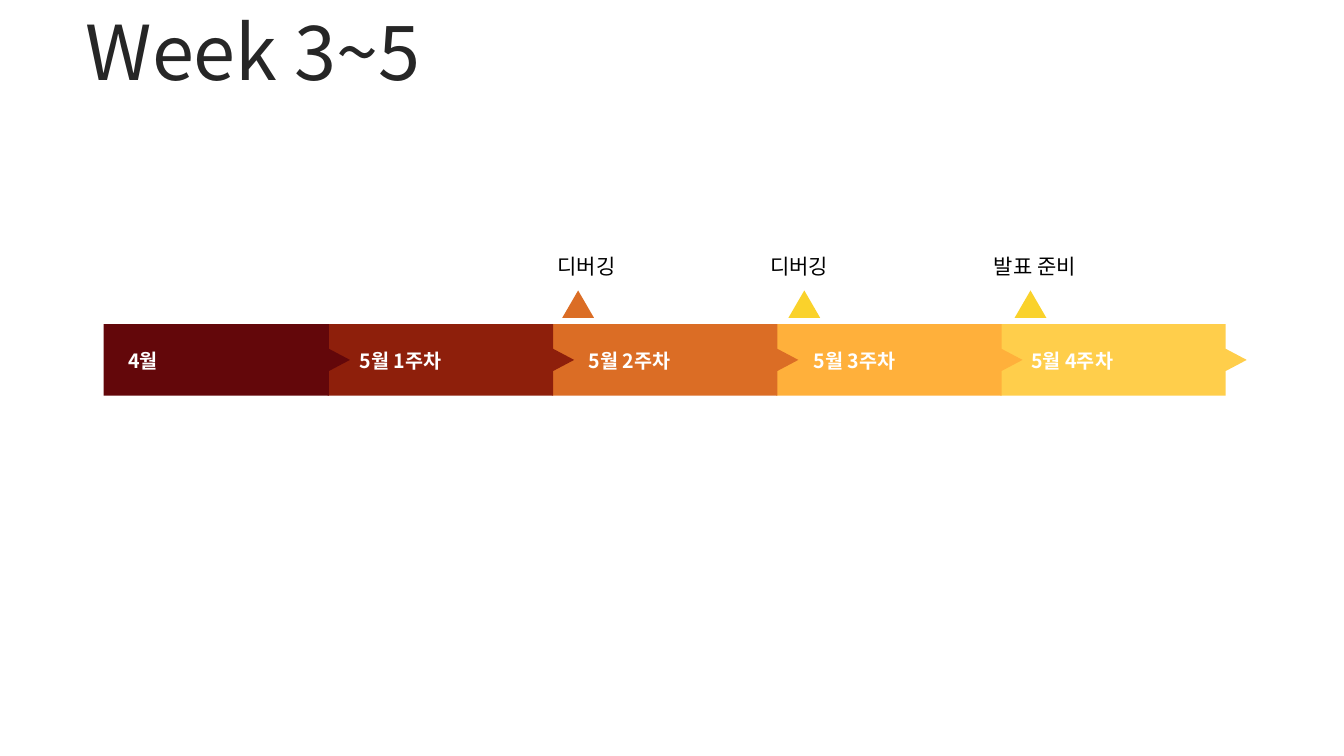
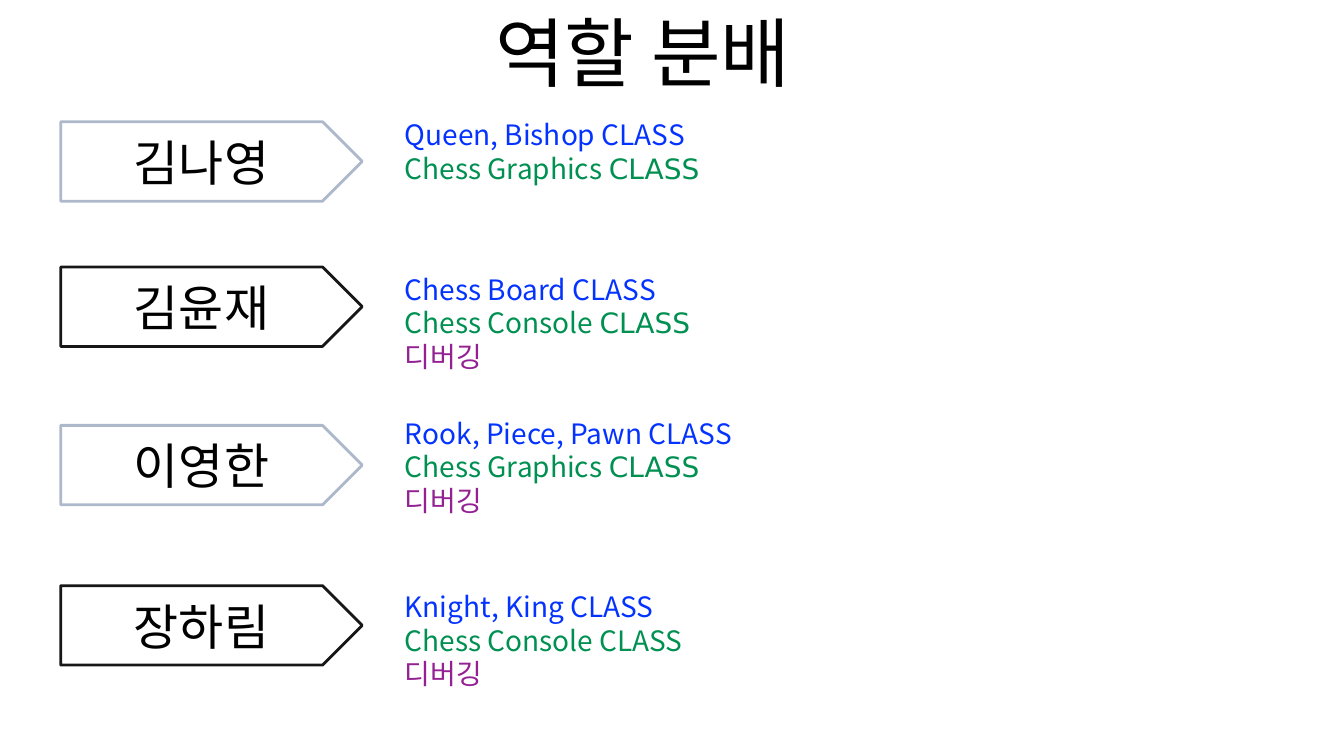
from lxml import etree
from pptx import Presentation
from pptx.dml.color import RGBColor
from pptx.enum.shapes import MSO_SHAPE
from pptx.enum.text import MSO_ANCHOR, PP_ALIGN
from pptx.oxml.ns import qn
from pptx.util import Cm, Pt

CENTER, LEFT = PP_ALIGN.CENTER, PP_ALIGN.LEFT
MIDDLE, TOP = MSO_ANCHOR.MIDDLE, MSO_ANCHOR.TOP
TRIANGLE, NAME_TAG = MSO_SHAPE.ISOSCELES_TRIANGLE, MSO_SHAPE.PENTAGON

FONT, ALT_FONT = "Noto Sans CJK KR", "DejaVu Sans"
INSET = 0.13
COLORS = {
    "white": "FFFFFF", "black": "000000", "title": "262626",
    "maroon": "63070A", "brick": "8E1F0B", "orange": "DB6D25",
    "amber": "FFB03B", "gold": "FFCE4B", "yellow": "FAD22B",
    "blue": "0433FF", "green": "009051", "purple": "942193",
    "steel": "ADB9CA", "ink": "181717",
}

STAGES = [
    ("4월", "maroon", 0.49),
    ("5월 1주차", "brick", 0.68),
    ("5월 2주차", "orange", 0.8),
    ("5월 3주차", "amber", 0.81),
    ("5월 4주차", "gold", 0.65),
]
MILESTONES = [
    ("디버깅", "orange", 11.31),
    ("디버깅", "yellow", 16.67),
    ("발표 준비", "yellow", 22.31),
]
DEBUGGING = [("디버깅", "purple", FONT)]


def duties(pieces, module, class_font=ALT_FONT):
    """Return the class duties as paragraphs of (text, colour, font) runs."""
    return [
        [(f"{pieces} CLASS", "blue", FONT)],
        [(f"{module} ", "green", FONT), ("CLASS", "green", class_font)],
    ]


ROLES = [
    ("김나영", 3.07, 2.84, duties("Queen, Bishop", "Chess Graphics")),
    ("김윤재", 6.73, 6.73,
     duties("Chess Board", "Chess Console") + [DEBUGGING]),
    ("이영한", 10.72, 10.36,
     duties("Rook, Piece, Pawn", "Chess Graphics") + [DEBUGGING]),
    ("장하림", 14.76, 14.73,
     duties("Knight, King", "Chess Console", FONT) + [DEBUGGING]),
]


def rgb(name):
    """Return a named colour."""
    return RGBColor.from_string(COLORS[name])


def write(frame, paragraphs, size, bold=False, align=LEFT, anchor=TOP):
    """Fill a text frame with paragraphs of (text, colour, font) runs."""
    frame.word_wrap = True
    frame.vertical_anchor = anchor
    frame.margin_left = frame.margin_right = Cm(INSET)
    frame.margin_top = frame.margin_bottom = Cm(INSET)
    for index, pieces in enumerate(paragraphs):
        paragraph = frame.add_paragraph() if index else frame.paragraphs[0]
        paragraph.alignment = align
        for text, color, font in pieces:
            run = paragraph.add_run()
            run.text = text
            run.font.size = Pt(size)
            run.font.bold = bold
            run.font.color.rgb = rgb(color)
            run.font.name = font
            east_asian = etree.SubElement(run.font._element, qn("a:ea"))
            east_asian.set("typeface", FONT)


def add_text(slide, box, paragraphs, size, **style):
    """Add a text box at (left, top, width, height) in centimetres."""
    frame = slide.shapes.add_textbox(*map(Cm, box)).text_frame
    write(frame, paragraphs, size, **style)
    return frame


def add_title(slide, box, text, color):
    """Add the large centred slide title."""
    frame = add_text(slide, box, [[(text, color, FONT)]], 54,
                     align=CENTER, anchor=MIDDLE)
    frame.paragraphs[0].line_spacing = 0.9
    frame.paragraphs[0].space_before = Pt(10)


def paint(shape, color):
    """Give a shape a flat fill with no line or shadow."""
    shape.shadow.inherit = False
    shape.fill.solid()
    shape.fill.fore_color.rgb = rgb(color)
    shape.line.fill.background()


def add_stage(slide, left, top, width, height, color):
    """Draw a timeline block with a small pointer on its right side."""
    right, middle, tip, half = left + width, top + height / 2, 0.53, 0.28
    outline = [
        (right, top), (right, middle - half), (right + tip, middle),
        (right, middle + half), (right, top + height), (left, top + height),
    ]
    builder = slide.shapes.build_freeform(Cm(left), Cm(top), scale=1.0)
    builder.add_line_segments([(Cm(x), Cm(y)) for x, y in outline], close=True)
    paint(builder.convert_to_shape(), color)


def add_timeline(slide, left, top, width, height):
    """Draw overlapping stages, their captions and the milestones above."""
    pitch = width / len(STAGES)
    for index, (caption, color, indent) in reversed(list(enumerate(STAGES))):
        add_stage(slide, left + index * pitch, top, pitch + 0.03, height, color)
    for index, (caption, color, indent) in enumerate(STAGES):
        add_text(slide, (left + index * pitch + indent, top + 0.5, 4.3, 0.9),
                 [[(caption, "white", FONT)]], 14, bold=True)
    for index, (caption, color, offset) in enumerate(MILESTONES):
        marker = (left + 11.56 + index * 5.7, top - 0.85, 0.8, 0.69)
        paint(slide.shapes.add_shape(TRIANGLE, *map(Cm, marker)), color)
        add_text(slide, (left + offset, top - 1.9, 5, 0.91),
                 [[(caption, "black", FONT)]], 15)


def add_role(slide, left, tag_top, duty_top, name, tasks, line_color):
    """Draw a member's name tag and the duties beside it."""
    tag = slide.shapes.add_shape(NAME_TAG, *map(Cm, (left, tag_top, 7.6, 2)))
    tag.shadow.inherit = False
    tag.fill.background()
    tag.line.color.rgb = rgb(line_color)
    tag.line.width = Pt(2)
    write(tag.text_frame, [[(name, "black", FONT)]], 35,
          align=CENTER, anchor=MIDDLE)
    add_text(slide, (left + 8.54, duty_top, 18.54, 2.8), tasks, 20)


def schedule_slide(slide):
    """Build the weekly schedule."""
    add_title(slide, (1.32, 0.13, 10.11, 2.54), "Week 3~5", "title")
    add_timeline(slide, 2.61, 8.17, 28.25, 1.8)


def roles_slide(slide):
    """Build the list of members and duties."""
    add_title(slide, (0.25, 0.1, 31.9, 2.67), "역할 분배", "black")
    for index, (name, tag_top, duty_top, tasks) in enumerate(ROLES):
        line_color = "ink" if index % 2 else "steel"
        add_role(slide, 1.53, tag_top, duty_top, name, tasks, line_color)


def main():
    """Build and save the presentation."""
    deck = Presentation()
    deck.slide_width, deck.slide_height = Cm(33.87), Cm(19.05)
    for build in (schedule_slide, roles_slide):
        build(deck.slides.add_slide(deck.slide_layouts[6]))
    deck.save("out.pptx")


if __name__ == "__main__":
    main()
